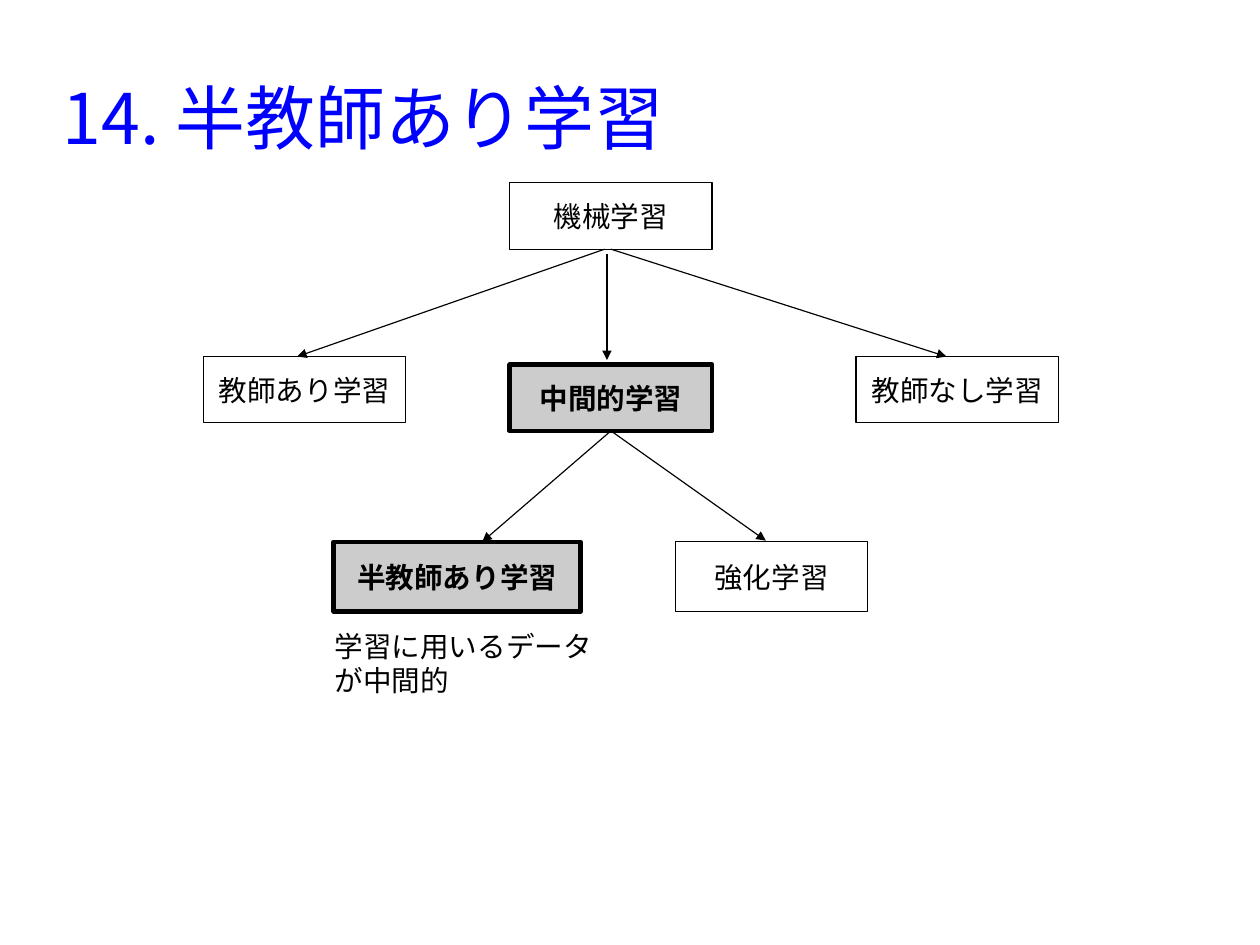
from dataclasses import dataclass
from typing import Optional

from lxml import etree
from pptx import Presentation
from pptx import util as u
from pptx.dml.color import RGBColor
from pptx.enum import shapes, text
from pptx.oxml.ns import qn


@dataclass(frozen=True)
class Theme:
    title: str = "0000FF"
    ink: str = "000000"
    plain: str = "FFFFFF"
    focus: str = "CCCCCC"
    cjk: str = "Noto Sans CJK JP"
    latin: str = "Arial"
    title_size: float = 44
    body_size: float = 18
    hairline: float = 0
    arrow_line: float = 0.75
    focus_line: float = 2.83


@dataclass(frozen=True)
class Node:
    label: str
    x: float
    y: float
    w: float = 1.77
    h: float = 0.58
    focus: bool = False


@dataclass(frozen=True)
class Arrow:
    start: tuple[float, float]
    end: tuple[float, float]
    parent: Optional[str] = None


THEME = Theme()
CM_PER_INCH = 2.54
ROOT, MIDDLE = "機械学習", "中間的学習"
NODES = [
    Node("教師なし学習", 7.49, 3.12),
    Node("教師あり学習", 1.78, 3.12),
    Node(ROOT, 4.46, 1.6),
    Node("半教師あり学習", 2.92, 4.74, 2.16, 0.61, focus=True),
    Node("強化学習", 5.91, 4.74, 1.68, 0.61),
    Node(MIDDLE, 4.46, 3.19, focus=True),
]
ARROWS = [
    Arrow((5.29, 2.18), (2.6, 3.12)),
    Arrow((5.36, 2.18), (8.28, 3.12), ROOT),
    Arrow((5.31, 2.22), (5.31, 3.15)),
    Arrow((5.33, 3.77), (4.22, 4.74), MIDDLE),
    Arrow((5.33, 3.77), (6.7, 4.73), MIDDLE),
]


def write(sp, content: str, *, size: float = THEME.body_size,
          color: str = THEME.ink, font: str = THEME.cjk, bold: bool = False,
          align=text.PP_ALIGN.LEFT, anchor=text.MSO_ANCHOR.MIDDLE,
          inset: tuple[float, float] = (0.1, 0.05)) -> None:
    tf = sp.text_frame
    tf.word_wrap = True
    tf.vertical_anchor = anchor
    tf.margin_left = tf.margin_right = u.Inches(inset[0])
    tf.margin_top = tf.margin_bottom = u.Inches(inset[1])
    tf.text = content
    for p in tf.paragraphs:
        p.alignment = align
        for r in p.runs:
            r.font.size = u.Pt(size)
            r.font.bold = bold
            r.font.color.rgb = RGBColor.from_string(color)
            r.font.name = font
            ea = etree.SubElement(r.font._element, qn("a:ea"))
            ea.set("typeface", THEME.cjk)


def add_text(slide, x: float, y: float, w: float, h: float, content: str,
             **fmt) -> None:
    sp = slide.shapes.add_textbox(*map(u.Inches, (x, y, w, h)))
    write(sp, content, **fmt)


def add_node(slide, node: Node):
    sp = slide.shapes.add_shape(
        shapes.MSO_SHAPE.RECTANGLE,
        *map(u.Inches, (node.x, node.y, node.w, node.h)))
    sp.shadow.inherit = False
    sp.fill.solid()
    sp.fill.fore_color.rgb = RGBColor.from_string(
        THEME.focus if node.focus else THEME.plain)
    sp.line.color.rgb = RGBColor.from_string(THEME.ink)
    sp.line.width = u.Pt(THEME.focus_line if node.focus else THEME.hairline)
    write(sp, node.label, bold=node.focus, align=text.PP_ALIGN.CENTER,
          inset=(0.12, 0.07) if node.focus else (0.1, 0.05))
    return sp


def add_arrow(slide, arrow: Arrow, boxes: dict) -> None:
    c = slide.shapes.add_connector(
        shapes.MSO_CONNECTOR.STRAIGHT,
        *map(u.Inches, (*arrow.start, *arrow.end)))
    if arrow.parent:
        c.begin_connect(boxes[arrow.parent], 2)
    c.line.color.rgb = RGBColor.from_string(THEME.ink)
    c.line.width = u.Pt(THEME.arrow_line)
    etree.SubElement(c.line._get_or_add_ln(), qn("a:tailEnd"), type="triangle")
    etree.SubElement(c._element.spPr, qn("a:effectLst"))


def main() -> None:
    prs = Presentation()
    prs.slide_width = u.Inches(28 / CM_PER_INCH)
    prs.slide_height = u.Inches(21 / CM_PER_INCH)
    slide = prs.slides.add_slide(prs.slide_layouts[6])
    add_text(slide, 0.55, 0.33, 9.92, 1.38, "14. 半教師あり学習",
             size=THEME.title_size, color=THEME.title, inset=(0, 0))
    boxes = {node.label: add_node(slide, node) for node in NODES}
    for arrow in ARROWS:
        add_arrow(slide, arrow, boxes)
    add_text(slide, 2.83, 5.45, 2.56, 0.85, "学習に用いるデータ\nが中間的",
             font=THEME.latin, anchor=text.MSO_ANCHOR.TOP)
    prs.save("out.pptx")


if __name__ == "__main__":
    main()
